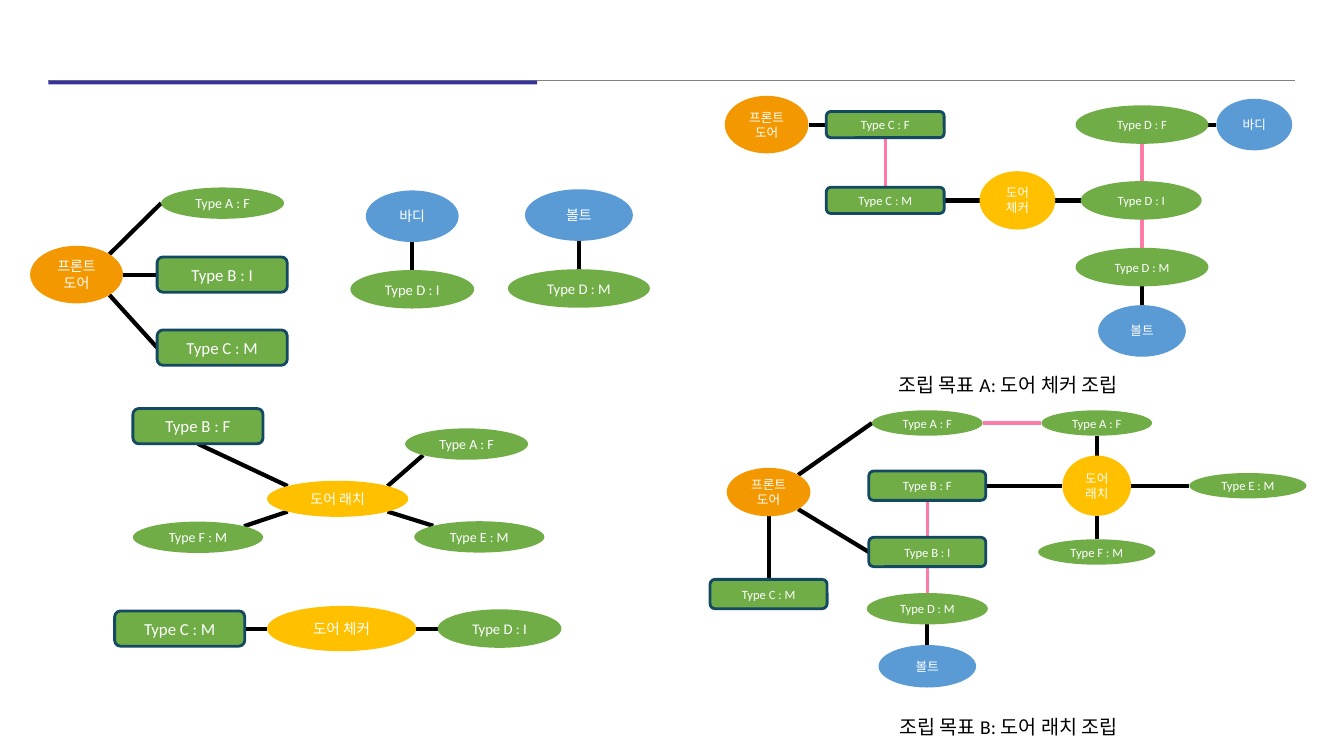
from dataclasses import dataclass
from math import sqrt
from typing import NamedTuple, Optional

from lxml.etree import SubElement
from pptx import Presentation
from pptx.dml.color import RGBColor
from pptx.enum.shapes import MSO_CONNECTOR, MSO_SHAPE
from pptx.enum.text import MSO_ANCHOR, PP_ALIGN
from pptx.oxml.ns import qn
from pptx.util import Cm, Pt

FONT = "Calibri"
WHITE = RGBColor(0xFF, 0xFF, 0xFF)
BLACK = RGBColor(0x00, 0x00, 0x00)
GREY = RGBColor(0x80, 0x80, 0x80)
NAVY = RGBColor(0x33, 0x33, 0x99)
GREEN = RGBColor(0x70, 0xAD, 0x47)
TEAL = RGBColor(0x14, 0x49, 0x62)
GOLD = RGBColor(0xFF, 0xC0, 0x00)
ORANGE = RGBColor(0xF3, 0x98, 0x00)
BLUE = RGBColor(0x5B, 0x9B, 0xD5)
PINK = RGBColor(0xFF, 0x79, 0xA9)


class Size(NamedTuple):
    w: float
    h: float


class Kind(NamedTuple):
    form: MSO_SHAPE
    fill: RGBColor
    edge: Optional[RGBColor] = None


@dataclass
class Node:
    text: str
    kind: Kind
    x: float
    y: float
    size: Size
    pt: float


class Link(NamedTuple):
    start: str
    side: str
    end: str
    port: str
    color: RGBColor = BLACK
    width: float = 3


@dataclass
class Figure:
    nodes: dict[str, Node]
    links: list[Link]


class Caption(NamedTuple):
    text: str
    x: float
    y: float
    w: float


DOOR = Kind(MSO_SHAPE.OVAL, ORANGE)
UNIT = Kind(MSO_SHAPE.OVAL, GOLD)
PART = Kind(MSO_SHAPE.OVAL, BLUE)
PORT = Kind(MSO_SHAPE.OVAL, GREEN)
SLOT = Kind(MSO_SHAPE.ROUNDED_RECTANGLE, GREEN, TEAL)

BOX = Size(3.28, 0.89)
OVAL = Size(3.1, 0.79)
LONG = Size(3.28, 0.79)
TALL = Size(3.12, 0.97)
BOX_A = Size(2.97, 0.66)
OVAL_A = Size(3.35, 0.97)
BOX_B = Size(2.95, 0.74)
OVAL_B = Size(2.95, 0.64)
SHORT_B = Size(2.79, 0.64)

FIGURES = [
    Figure({
        "door": Node("프론트 도어", DOOR, 1.93, 6.92, Size(2.34, 1.45), 10),
        "A": Node("Type A : F", PORT, 5.61, 5.12, OVAL, 10),
        "B": Node("Type B : I", SLOT, 5.6, 6.92, BOX, 12),
        "C": Node("Type C : M", SLOT, 5.6, 8.76, BOX, 12),
    }, [
        Link("A", "l", "door", "tr"),
        Link("B", "l", "door", "r"),
        Link("C", "l", "door", "br"),
    ]),
    Figure({
        "body": Node("바디", PART, 10.39, 5.45, Size(2.34, 1.3), 10),
        "D": Node("Type D : I", PORT, 10.39, 7.29, TALL, 10.5),
    }, [Link("D", "t", "body", "b")]),
    Figure({
        "bolt": Node("볼트", PART, 14.59, 5.42, Size(2.72, 1.3), 10),
        "D": Node("Type D : M", PORT, 14.59, 7.27, Size(3.58, 0.97), 10.5),
    }, [Link("D", "t", "bolt", "b")]),
    Figure({
        "latch": Node("도어 래치", UNIT, 8.51, 12.57, Size(3.56, 0.91), 10),
        "A": Node("Type A : F", PORT, 11.76, 11.19, OVAL, 10),
        "B": Node("Type B : F", SLOT, 4.99, 10.74, BOX, 12),
        "E": Node("Type E : M", PORT, 12.08, 13.53, LONG, 10),
        "F": Node("Type F : M", PORT, 4.99, 13.54, LONG, 10),
    }, [
        Link("B", "b", "latch", "tl"),
        Link("latch", "tr", "A", "bl"),
        Link("E", "tl", "latch", "br"),
        Link("F", "tr", "latch", "bl"),
    ]),
    Figure({
        "check": Node("도어 체커", UNIT, 8.61, 15.84, Size(3.76, 1.14), 10.5),
        "C": Node("Type C : M", SLOT, 4.53, 15.84, BOX, 12),
        "D": Node("Type D : I", PORT, 12.59, 15.84, TALL, 10.5),
    }, [Link("C", "r", "check", "l"), Link("D", "l", "check", "r")]),
    Figure({
        "door": Node("프론트 도어", DOOR, 19.32, 3.14, Size(2.11, 1.45), 9),
        "CF": Node("Type C : F", SLOT, 22.31, 3.14, BOX_A, 9),
        "CM": Node("Type C : M", SLOT, 22.31, 5.05, BOX_A, 9),
        "check": Node("도어\n체커", UNIT, 25.64, 5.05, Size(1.91, 1.47), 9),
        "DF": Node("Type D : F", PORT, 28.78, 3.14, OVAL_A, 9),
        "DI": Node("Type D : I", PORT, 28.76, 5.05, Size(3.05, 0.97), 9),
        "DM": Node("Type D : M", PORT, 28.78, 6.73, OVAL_A, 9),
        "body": Node("바디", PART, 31.61, 3.14, Size(1.91, 1.3), 9),
        "bolt": Node("볼트", PART, 28.78, 8.34, Size(2.21, 1.3), 9),
    }, [
        Link("DF", "b", "DM", "t", PINK, 2.25),
        Link("CF", "b", "CM", "t", PINK, 2.25),
        Link("CF", "l", "door", "r"),
        Link("CM", "r", "check", "l"),
        Link("DI", "l", "check", "r"),
        Link("DF", "r", "body", "l"),
        Link("DM", "b", "bolt", "t"),
    ]),
    Figure({
        "door": Node("프론트 도어", DOOR, 19.37, 12.4, Size(2.11, 1.22), 9),
        "C": Node("Type C : M", SLOT, 19.37, 14.97, BOX_B, 9),
        "A": Node("Type A : F", PORT, 23.37, 10.66, SHORT_B, 9),
        "BF": Node("Type B : F", SLOT, 23.37, 12.24, BOX_B, 9),
        "BI": Node("Type B : I", SLOT, 23.37, 13.91, BOX_B, 9),
        "D": Node("Type D : M", PORT, 23.37, 15.34, Size(3.05, 0.79), 9),
        "bolt": Node("볼트", PART, 23.37, 16.79, Size(2.46, 1.07), 9),
        "latch": Node("도어 래치", UNIT, 27.64, 12.24, Size(1.73, 1.52), 9),
        "AF": Node("Type A : F", PORT, 27.64, 10.66, SHORT_B, 9),
        "E": Node("Type E : M", PORT, 31.45, 12.24, OVAL_B, 9),
        "F": Node("Type F : M", PORT, 27.64, 13.91, OVAL_B, 9),
    }, [
        Link("BF", "b", "D", "t", PINK, 2.25),
        Link("AF", "l", "A", "r", PINK, 2.25),
        Link("A", "l", "door", "tr"),
        Link("BI", "l", "door", "br"),
        Link("C", "t", "door", "b"),
        Link("BF", "r", "latch", "l"),
        Link("latch", "t", "AF", "b"),
        Link("E", "l", "latch", "r"),
        Link("F", "t", "latch", "b"),
        Link("D", "b", "bolt", "t"),
    ]),
]

CAPTIONS = [
    Caption("조립 목표 A: 도어 체커 조립", 20.73, 9.27, 9.35),
    Caption("조립 목표 B: 도어 래치 조립", 20.35, 17.88, 10.13),
]


def style(frame, pt: float, color: RGBColor) -> None:
    frame.word_wrap = True
    for para in frame.paragraphs:
        para.alignment = PP_ALIGN.CENTER
        for run in para.runs:
            run.font.name = FONT
            run.font.size = Pt(pt)
            run.font.color.rgb = color


def site(node: Node, side: str) -> tuple[float, float]:
    dx = ("r" in side) - ("l" in side)
    dy = ("b" in side) - ("t" in side)
    reach = 0.5 / sqrt(len(side))
    return node.x + dx * reach * node.size.w, node.y + dy * reach * node.size.h


def draw_line(shapes, start: tuple[float, float], end: tuple[float, float],
              color: RGBColor, width: float) -> None:
    line = shapes.add_connector(MSO_CONNECTOR.STRAIGHT, *map(Cm, start + end))
    line.line.color.rgb = color
    line.line.width = Pt(width)
    SubElement(line._element.spPr, qn("a:effectLst"))


def draw_shape(shapes, kind: Kind, x: float, y: float, size: Size):
    shape = shapes.add_shape(kind.form, Cm(x), Cm(y), Cm(size.w), Cm(size.h))
    shape.shadow.inherit = False
    shape.fill.solid()
    shape.fill.fore_color.rgb = kind.fill
    if kind.edge is None:
        shape.line.fill.background()
    else:
        shape.line.color.rgb = kind.edge
        shape.line.width = Pt(2)
    return shape


def draw_node(shapes, node: Node) -> None:
    left, top = node.x - node.size.w / 2, node.y - node.size.h / 2
    frame = draw_shape(shapes, node.kind, left, top, node.size).text_frame
    frame.margin_left = frame.margin_right = Cm(0.1)
    frame.margin_top = frame.margin_bottom = 0
    frame.vertical_anchor = MSO_ANCHOR.MIDDLE
    frame.text = node.text
    style(frame, node.pt, WHITE)


def draw_figure(shapes, fig: Figure) -> None:
    group = shapes.add_group_shape().shapes
    for link in fig.links:
        start = site(fig.nodes[link.start], link.side)
        end = site(fig.nodes[link.end], link.port)
        draw_line(group, start, end, link.color, link.width)
    for node in fig.nodes.values():
        draw_node(group, node)


def draw_caption(shapes, cap: Caption) -> None:
    box = shapes.add_textbox(Cm(cap.x), Cm(cap.y), Cm(cap.w), Cm(0.86))
    box.text_frame.text = cap.text
    style(box.text_frame, 14, BLACK)


def main() -> None:
    deck = Presentation()
    deck.slide_width, deck.slide_height = Cm(33.87), Cm(19.05)
    shapes = deck.slides.add_slide(deck.slide_layouts[6]).shapes
    draw_line(shapes, (1.22, 2.03), (32.64, 2.03), GREY, 1)
    draw_shape(shapes, Kind(MSO_SHAPE.RECTANGLE, NAVY), 1.22, 2.03, Size(12.32, 0.1))
    for fig in FIGURES:
        draw_figure(shapes, fig)
    for cap in CAPTIONS:
        draw_caption(shapes, cap)
    deck.save("out.pptx")


if __name__ == "__main__":
    main()
